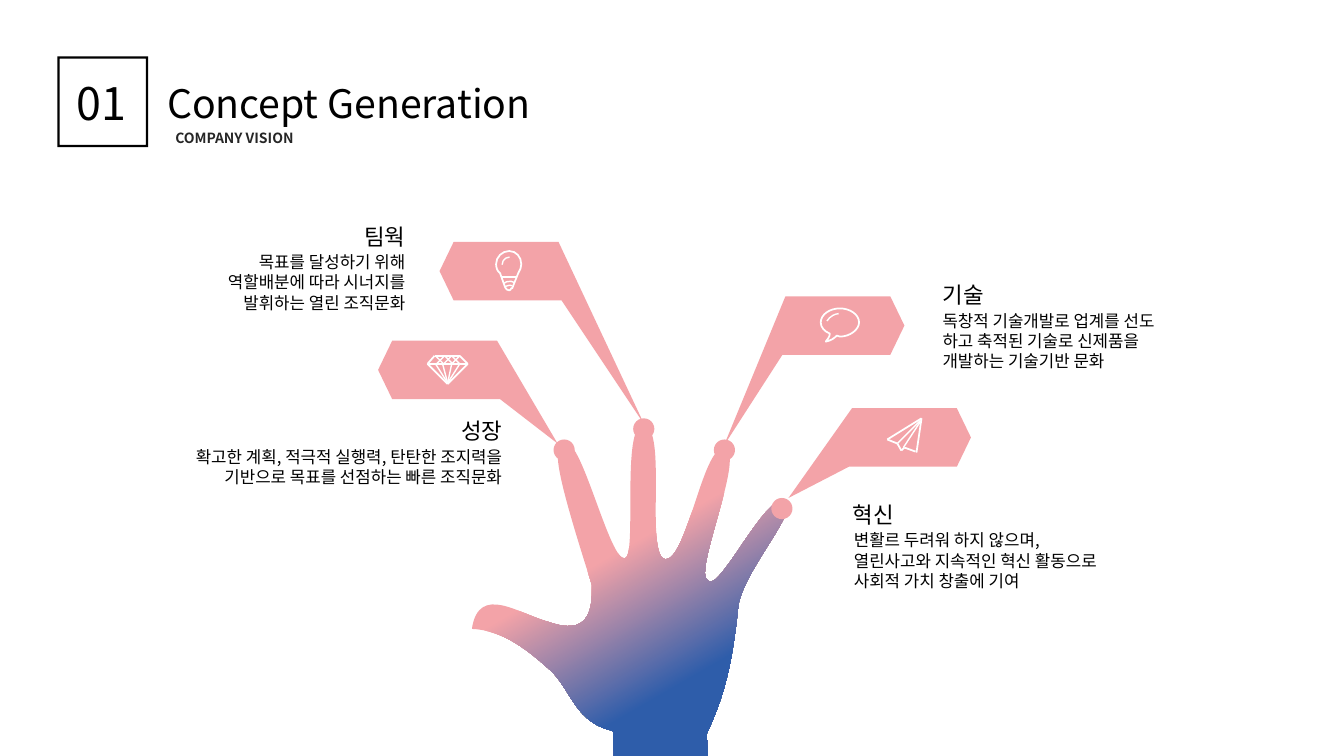
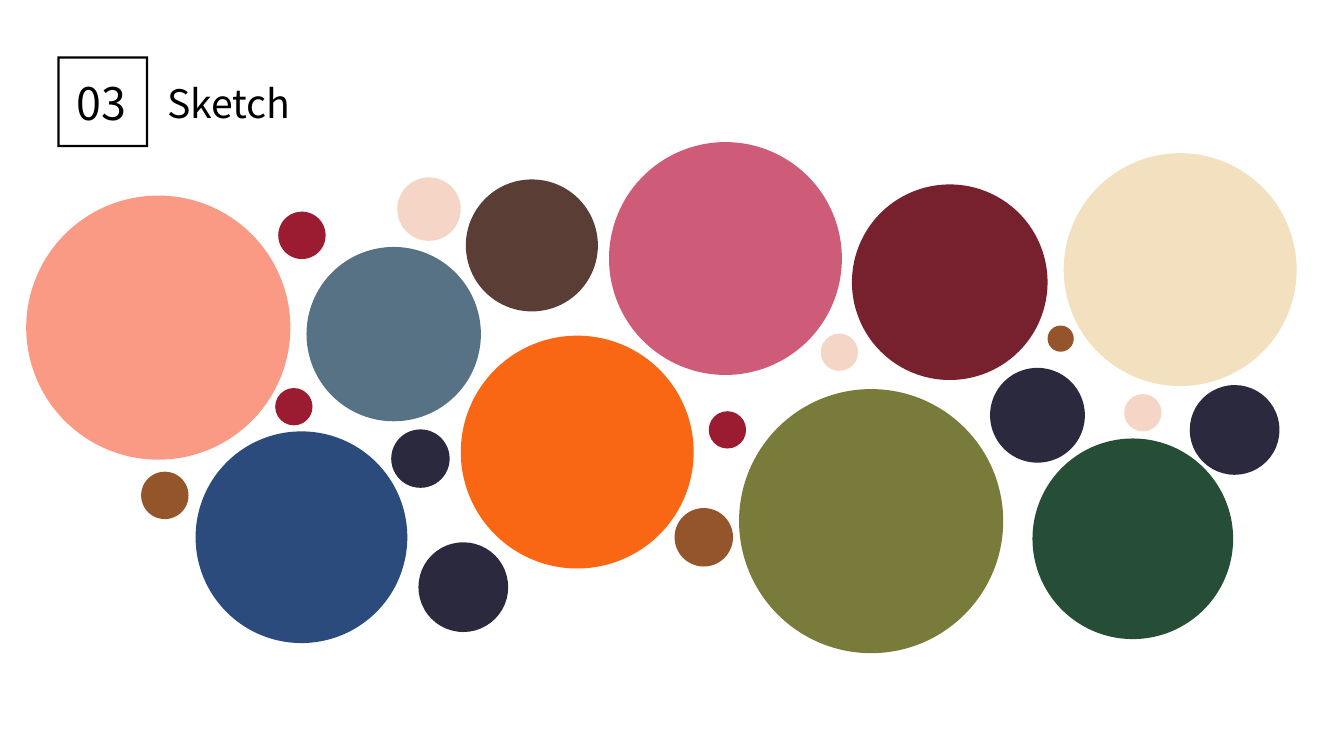
import itertools
import pptx
import pptx.dml.color
import pptx.enum.shapes
import pptx.enum.text
import pptx.oxml.ns
import pptx.util
import lxml.etree

PX = 9144
SIZE = (1333, 750)
THEME = {
    "font": "Noto Sans CJK KR",
    "ink": "000000", "soft": "262626", "pink": "F3A3A8", "blue": "2E5DAA", "white": "FFFFFF",
    "number": 32, "title": 28, "head": 16, "body": 12, "sub": 10,
    "bold": 1.25, "thin": 1,
}
HEADS = [("01", "Concept Generation", "COMPANY VISION"), ("03", "Sketch", None)]

HAND = [
    (609, 751), (608, 725),
    (571, 717, 567, 686, 547, 666), (526, 647, 500, 625, 468, 624),
    (475, 578, 516, 610, 544, 617), (583, 631, 588, 607, 587, 580),
    (545, 449, 550, 444, 561, 440), (577, 435, 605, 558, 620, 554),
    (632, 551, 616, 421, 638, 422), (663, 422, 639, 553, 660, 555),
    (682, 555, 698, 436, 720, 445), (738, 455, 687, 569, 702, 576),
    (713, 590, 761, 485, 779, 498), (793, 507, 734, 570, 732, 604),
    (725, 672, 714, 699, 701, 728), (702, 752), (609, 751),
]
STOPS = [("pink", 0.41), ("blue", 0.74)]

TAGS = [
    {"nose": (375, 338), "side": 1, "tip": (553, 440), "dot": (549, 436)},
    {"nose": (436, 240), "side": 1, "tip": (639, 421), "dot": (628, 415)},
    {"nose": (897, 294), "side": -1, "tip": (718, 442), "dot": (708, 436)},
    {"nose": (963, 405), "side": -1, "tip": (782, 494), "dot": (765, 494)},
]
NOTES = [
    ("성장", (447, 409), (151, 438, 357, 50), "RIGHT",
     ["확고한 계획, 적극적 실행력, 탄탄한 조지력을", "기반으로 목표를 선점하는 빠른 조직문화"]),
    ("팀웍", (351, 216), (189, 245, 223, 71), "RIGHT",
     ["목표를 달성하기 위해", "역할배분에 따라 시너지를", "발휘하는 열린 조직문화"]),
    ("기술", (925, 274), (925, 303, 243, 71), "LEFT",
     ["독창적 기술개발로 업계를 선도", "하고 축적된 기술로 신제품을", "개발하는 기술기반 문화"]),
    ("혁신", (836, 492), (837, 521, 279, 71), "LEFT",
     ["변활르 두려워 하지 않으며, 열린사고와 지속적인 혁신 활동으로 사회적 가치 창출에 기여"]),
]
ICONS = {
    "bubble": {
        "curve": [(833, 306), (843, 306, 852, 312, 852, 320), (852, 327, 843, 334, 833, 334),
                  (830, 333), (827, 336, 824, 338, 819, 339), (820, 337, 823, 335, 823, 331),
                  (818, 329, 814, 325, 814, 320), (814, 312, 823, 306, 833, 306)],
        "arcs": [((818, 311, 31, 31), 301.2, (162, 193.58))],
    },
    "gem": {
        "bold": [[(431, 353), (456, 353), (464, 361), (444, 381), (424, 361), (431, 353)]],
        "thin": [[(425, 361), (463, 361)]]
                + [[(444, 380), (x, 361)] for x in (432, 439, 448, 456)]
                + [[(x, 353), (x + 8, 361)] for x in (432, 441, 448)]
                + [[(x, 353), (x - 8, 361)] for x in (441, 448, 456)],
    },
    "plane": {
        "bold": [[(914, 415), (880, 436), (890, 440), (894, 447), (897, 444), (908, 448)],
                 [(914, 415), (909, 449)]],
        "thin": [[(913, 417), (890, 440)], [(913, 418), (896, 444)]],
    },
    "bulb": {
        "curve": [(505, 249), (512, 249, 517, 255, 517, 262), (517, 265, 516, 268, 514, 271),
                  (508, 286), (507, 286), (507, 287, 506, 288, 505, 288),
                  (503, 288, 502, 287, 501, 285), (496, 271),
                  (493, 269, 492, 265, 492, 262), (492, 255, 498, 249, 505, 249)],
        "bold": [[(497, 275), (512, 275)]],
        "arcs": [((498, 255, 15, 15), 270, (162, 215.5)),
                 ((497, 279, 17, 17), 309, (168.25, 210.6)),
                 ((498, 283, 15, 15), 300, (175.25, 210.13))],
    },
}
DOTS = {
    "FA9A85": [(26, 194, 262)],
    "F96714": [(457, 333, 231)],
    "CE5B78": [(604, 141, 231)],
    "797B3A": [(733, 386, 262)],
    "2A4B7C": [(194, 428, 210)],
    "577284": [(304, 245, 173)],
    "77212E": [(845, 183, 194)],
    "F3E0BE": [(1055, 152, 231)],
    "264E36": [(1024, 435, 199)],
    "5A3E36": [(462, 178, 131)],
    "F5D6C6": [(394, 176, 63), (814, 331, 37), (1115, 391, 37)],
    "9B1B30": [(276, 210, 47), (273, 385, 37), (703, 408, 37)],
    "935529": [(140, 468, 47), (1039, 323, 26), (669, 504, 58)],
    "2A293E": [(388, 426, 58), (415, 538, 89), (982, 365, 94), (1180, 382, 89)],
}


def px(*vals):
    return [pptx.util.Emu(round(v * PX)) for v in vals]


def tint(name):
    return pptx.dml.color.RGBColor.from_string(THEME.get(name, name))


def apply(item, form):
    for key, val in form.items():
        setattr(item, key, val)


def paint(shape, fill=None, line=None):
    shape.shadow.inherit = False
    if fill:
        shape.fill.solid()
        shape.fill.fore_color.rgb = tint(fill)
    else:
        shape.fill.background()
    if line:
        stroke(shape, line)
    else:
        shape.line.fill.background()
    return shape


def stroke(shape, width):
    shape.line.color.rgb = tint("white")
    shape.line.width = pptx.util.Pt(THEME[width])


def preset(home, kind, box, fill=None, line=None):
    kind = getattr(pptx.enum.shapes.MSO_SHAPE, kind)
    return paint(home.add_shape(kind, *px(*box)), fill, line)


def bend(shape, steps):
    mark = pptx.oxml.ns.qn
    for part, step in zip(list(shape._element.iter(mark("a:lnTo"))), steps):
        if len(step) == 2:
            continue
        curve = lxml.etree.Element(mark("a:cubicBezTo"))
        for x, y in zip(px(*step[::2]), px(*step[1::2])):
            spot = lxml.etree.SubElement(curve, mark("a:pt"))
            spot.set("x", str(x - shape.left))
            spot.set("y", str(y - shape.top))
        part.getparent().replace(part, curve)


def outline(home, steps, fill=None, line=None):
    points = [px(*step[-2:]) for step in steps]
    pen = home.build_freeform(*points[0], scale=1.0)
    pen.add_line_segments(points[1:], close=True)
    shape = pen.convert_to_shape()
    bend(shape, steps[1:])
    return paint(shape, fill, line)


def strokes(home, chain, width):
    for start, end in itertools.pairwise(chain):
        line = home.add_connector(pptx.enum.shapes.MSO_CONNECTOR.STRAIGHT, *px(*start, *end))
        stroke(line, width)
        lxml.etree.SubElement(line._element.spPr, pptx.oxml.ns.qn("a:effectLst"))


def write(home, box, lines, size, align="LEFT", color="ink", bold=False, wrap=True):
    frame = home.add_textbox(*px(*box)).text_frame
    apply(frame, {"word_wrap": wrap, "auto_size": pptx.enum.text.MSO_AUTO_SIZE.SHAPE_TO_FIT_TEXT})
    for i, line in enumerate(lines):
        para = frame.add_paragraph() if i else frame.paragraphs[0]
        para.alignment = getattr(pptx.enum.text.PP_ALIGN, align)
        run = para.add_run()
        run.text = line
        apply(run.font, {"name": THEME["font"], "size": pptx.util.Pt(THEME[size]), "bold": bold})
        run.font.color.rgb = tint(color)
        east = lxml.etree.SubElement(run._r.get_or_add_rPr(), pptx.oxml.ns.qn("a:ea"))
        east.set("typeface", THEME["font"])


def header(slide, number, title, sub):
    home = slide.shapes.add_group_shape().shapes
    preset(home, "FRAME", (57, 56, 90, 90), "ink").adjustments[0] = 0.024
    write(home, (66, 70, 81, 64), [number], "number")
    write(home, (156, 74, 387, 57), [title], "title")
    if sub:
        write(home, (164, 124, 1035, 27), [sub], "sub", color="soft", bold=True)


def callout(home, nose, side, tip, dot):
    x, y = nose
    edge = [(118, 0), (14, 0), (0, 29), (14, 58), (121, 58)]
    outline(home, [tip] + [(x + side * dx, y + dy) for dx, dy in edge] + [tip], "pink")
    preset(home, "OVAL", (*dot, 21, 21), "pink")


def icon(slide, parts):
    home = slide.shapes.add_group_shape().shapes
    if "curve" in parts:
        outline(home, parts["curve"], line="bold")
    for width in ("bold", "thin"):
        for chain in parts.get(width, []):
            strokes(home, chain, width)
    for box, turn, sweep in parts.get("arcs", []):
        arc = preset(home, "ARC", box, line="thin")
        arc.rotation = turn
        for i, angle in enumerate(sweep):
            arc.adjustments[i] = angle


def concept(slide):
    home = slide.shapes
    hand = outline(home, HAND, "pink")
    hand.fill.gradient()
    hand.fill.gradient_angle = 300
    for stop, (name, place) in zip(hand.fill.gradient_stops, STOPS):
        stop.color.rgb = tint(name)
        stop.position = place
    for tag in TAGS:
        callout(home, **tag)
    for head, spot, box, align, lines in NOTES:
        write(home, (*spot, 61, 37), [head], "head", align, wrap=False)
        write(home, box, lines, "body", align)
    for parts in ICONS.values():
        icon(slide, parts)


def sketch(slide):
    for color, group in DOTS.items():
        for x, y, size in group:
            preset(slide.shapes, "OVAL", (x, y, size, size), color)


def main():
    deck = pptx.Presentation()
    deck.slide_width, deck.slide_height = px(*SIZE)
    for head, draw in zip(HEADS, (concept, sketch)):
        slide = deck.slides.add_slide(deck.slide_layouts[6])
        draw(slide)
        header(slide, *head)
    deck.save("out.pptx")


if __name__ == "__main__":
    main()
